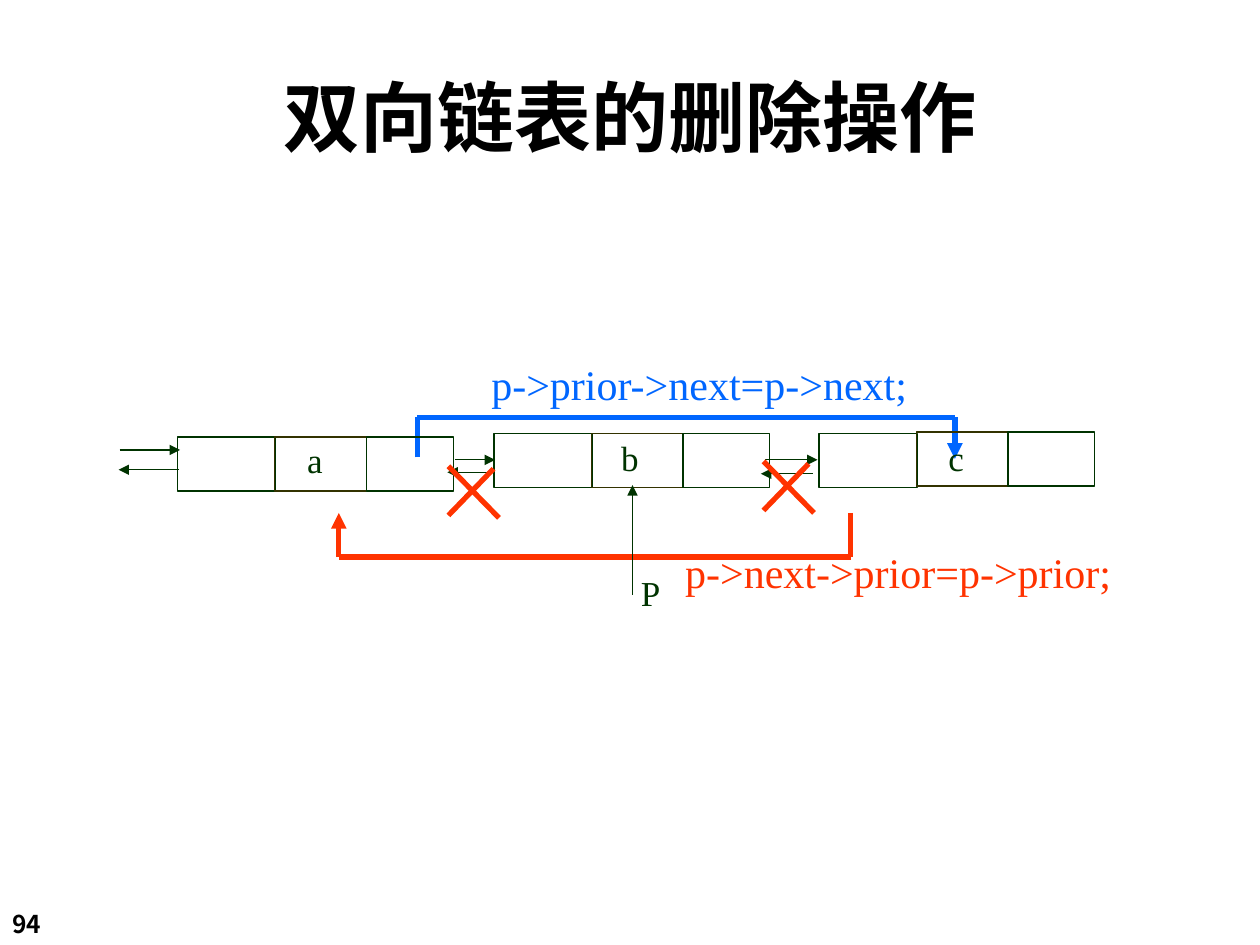
import pptx
import pptx.dml.color
import pptx.enum.shapes
import pptx.enum.text
import pptx.oxml.ns
import pptx.util
from lxml import etree

Cm, Pt = pptx.util.Cm, pptx.util.Pt
qn = pptx.oxml.ns.qn
ALIGN = pptx.enum.text.PP_ALIGN
ANCHOR = pptx.enum.text.MSO_ANCHOR

GREEN, OLIVE, BLUE, RED = "003300", "333300", "0066FF", "FF3300"
SANS, SERIF = "Noto Sans CJK SC", "Times New Roman"

# Content: all lengths in centimetres
TITLE = "双向链表的删除操作"
PAGE_NUMBER = "94"

# Each node: left edge, then the top of its prior, data and next cells
NODES = [(3.58, (8.81, 8.81, 8.81)), (9.96, (8.74, 8.74, 8.74)), (16.51, (8.74, 8.71, 8.71))]
CELLS = [(0, 1.98, GREEN), (1.96, 1.85, OLIVE), (3.81, 1.75, GREEN)]  # offset, width, line
CELL_HEIGHT = 1.09

# Links between nodes: start x, end x, y
LINKS = [(2.41, 3.63, 9.07), (9.17, 9.98, 9.27), (15.42, 16.48, 9.27),
         (3.61, 2.39, 9.47), (9.83, 9.02, 9.52), (16.38, 15.34, 9.55)]
POINTER = [(12.75, 11.99), (12.75, 9.78)]

# Bypass routes, from source to arrow tip
NEXT_ROUTE = [(8.41, 9.22), (8.41, 8.41), (19.25, 8.41), (19.25, 9.25)]
PRIOR_ROUTE = [(17.15, 10.34), (17.15, 11.23), (6.83, 11.23), (6.83, 10.34)]

# Crosses over removed links
CROSSES = [(9.04, 9.4), (15.39, 9.3)]
STROKES = [((0.91, 0.05), (0, 0.99)), ((0, 0), (1.02, 1.04))]

# Labels: text, left, top, width, height, size, colour
LABELS = [("a", 5.94, 8.81, 0.81, 1.02, 20, GREEN),
          ("b", 12.27, 8.76, 0.86, 1.02, 20, GREEN),
          ("c", 18.87, 8.76, 0.81, 1.02, 20, GREEN),
          ("P", 12.67, 11.48, 0.89, 1.02, 20, GREEN),
          ("p->prior->next=p->next;", 9.65, 7.21, 8.89, 1.17, 24, BLUE),
          ("p->next->prior=p->prior;", 13.56, 11, 9.09, 1.17, 24, RED)]

deck = pptx.Presentation()
deck.slide_width, deck.slide_height = Cm(25.4), Cm(19.05)
page = deck.slides.add_slide(deck.slide_layouts[6])


def colour(value):
    return pptx.dml.color.RGBColor.from_string(value)


def add_text(text, left, top, width, height, size, ink="000000", font=SERIF, bold=False,
             align=ALIGN.CENTER, anchor=ANCHOR.MIDDLE, wrap=False, spacing=0.9):
    box = page.shapes.add_textbox(Cm(left), Cm(top), Cm(width), Cm(height))
    frame = box.text_frame
    frame.word_wrap, frame.vertical_anchor = wrap, anchor
    para = frame.paragraphs[0]
    para.alignment, para.line_spacing = align, spacing
    span = para.add_run()
    span.text = text
    span.font.name, span.font.size, span.font.bold = font, Pt(size), bold
    span.font.color.rgb = colour(ink)
    east_asian = etree.SubElement(span.font._element, qn("a:ea"))
    east_asian.set("typeface", font)


def add_line(start, end, ink, weight, arrow=False):
    points = [Cm(value) for value in (*start, *end)]
    line = page.shapes.add_connector(pptx.enum.shapes.MSO_CONNECTOR.STRAIGHT, *points)
    line.line.color.rgb, line.line.width = colour(ink), Pt(weight)
    if arrow:
        etree.SubElement(line.line._get_or_add_ln(), qn("a:tailEnd")).set("type", "triangle")
    etree.SubElement(line._element.spPr, qn("a:effectLst"))


def add_route(points, ink):
    for start, end in zip(points, points[1:]):
        add_line(start, end, ink, 3, arrow=end == points[-1])


def add_cell(left, top, width, ink):
    cell = page.shapes.add_shape(pptx.enum.shapes.MSO_SHAPE.RECTANGLE,
                                 Cm(left), Cm(top), Cm(width), Cm(CELL_HEIGHT))
    cell.shadow.inherit = False
    cell.fill.background()
    cell.line.color.rgb, cell.line.width = colour(ink), Pt(0.75)


# Title and page number
add_text(TITLE, 1.07, 1.07, 23.29, 2.54, 44, font=SANS, bold=True, wrap=True, spacing=1.0)
add_text(PAGE_NUMBER, 0, 18.21, 2.11, 0.86, 14, font=SANS, bold=True, wrap=True,
         align=ALIGN.LEFT, anchor=ANCHOR.TOP, spacing=1.0)

# New links that bypass node b
add_route(NEXT_ROUTE, BLUE)
add_route(PRIOR_ROUTE, RED)

# List nodes
for node_left, tops in NODES:
    for top, (offset, width, ink) in zip(tops, CELLS):
        add_cell(node_left + offset, top, width, ink)

# Existing links and the pointer P
for start_x, end_x, y in LINKS:
    add_line((start_x, y), (end_x, y), GREEN, 0.75, arrow=True)
add_line(*POINTER, GREEN, 0.75, arrow=True)

# Crosses
for x, y in CROSSES:
    for (x1, y1), (x2, y2) in STROKES:
        add_line((x + x1, y + y1), (x + x2, y + y2), RED, 3)

# Labels
for label in LABELS:
    add_text(*label)

deck.save("out.pptx")
